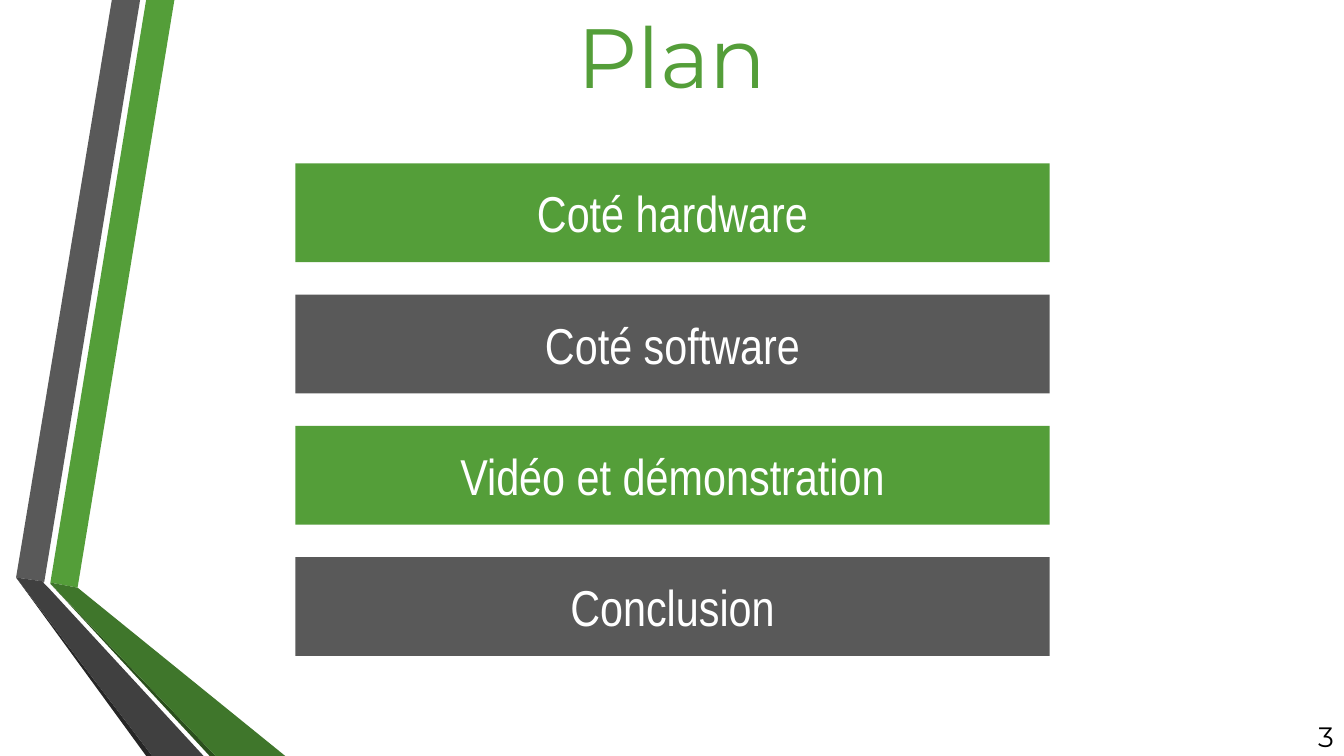
from dataclasses import dataclass

from pptx import Presentation
from pptx.dml.color import RGBColor as RGB
from pptx.enum.shapes import MSO_SHAPE as Shape
from pptx.enum.text import MSO_ANCHOR as Anchor, MSO_AUTO_SIZE as AutoSize, PP_ALIGN as Align
from pptx.shapes.autoshape import Shape as AutoShape
from pptx.slide import Slide
from pptx.util import Inches, Pt

CELL = Inches(0.01)
COLS, ROWS = 1333, 750

GREEN = RGB(0x54, 0x9E, 0x39)
MID_GREEN = RGB(0x3F, 0x76, 0x2B)
DARK_GREEN = RGB(0x2A, 0x4F, 0x1C)
GREY = RGB(0x59, 0x59, 0x59)
MID_GREY = RGB(0x40, 0x40, 0x40)
DARK_GREY = RGB(0x26, 0x26, 0x26)
BLACK = RGB(0x00, 0x00, 0x00)
WHITE = RGB(0xFF, 0xFF, 0xFF)

HEADING_FONT = "Montserrat"
BAR_FONT = "Arial Narrow"


@dataclass(frozen=True)
class Box:
    col: float
    row: float
    cols: float
    rows: float

    def emu(self) -> tuple[int, ...]:
        return tuple(round(n * CELL) for n in (self.col, self.row, self.cols, self.rows))


@dataclass(frozen=True)
class Ribbon:
    color: RGB
    points: tuple[tuple[int, int], ...]


@dataclass(frozen=True)
class TextStyle:
    font: str
    size: int
    color: RGB
    align: Align
    anchor: Anchor


RIBBONS = (
    Ribbon(GREEN, ((50, 578), (77, 583), (173, 0), (145, 0))),
    Ribbon(GREY, ((139, 0), (111, 0), (16, 573), (44, 577))),
    Ribbon(DARK_GREY, ((16, 573), (145, ROWS), (151, ROWS))),
    Ribbon(DARK_GREEN, ((50, 579), (208, ROWS), (214, ROWS))),
    Ribbon(MID_GREEN, ((50, 579), (214, ROWS), (283, ROWS), (77, 583), (50, 578))),
    Ribbon(MID_GREY, ((202, ROWS), (48, 583), (43, 578), (44, 577), (16, 573), (151, ROWS))),
)

TOPICS = ("Coté hardware", "Coté software", "Vidéo et démonstration", "Conclusion")
BAR_COLORS = (GREEN, GREY)
FIRST_BAR = Box(293, 162, 748, 98)
BAR_PITCH = 130.2

TITLE_STYLE = TextStyle(HEADING_FONT, 60, GREEN, Align.CENTER, Anchor.TOP)
NUMBER_STYLE = TextStyle(HEADING_FONT, 20, BLACK, Align.RIGHT, Anchor.MIDDLE)
BAR_STYLE = TextStyle(BAR_FONT, 36, WHITE, Align.CENTER, Anchor.MIDDLE)


def paint(sp: AutoShape, color: RGB) -> None:
    sp.shadow.inherit = False
    sp.fill.solid()
    sp.fill.fore_color.rgb = color
    sp.line.fill.background()


def write(sp: AutoShape, text: str, style: TextStyle) -> None:
    tf = sp.text_frame
    tf.word_wrap = True
    tf.vertical_anchor = style.anchor
    p = tf.paragraphs[0]
    p.alignment = style.align
    r = p.add_run()
    r.text = text
    r.font.name = style.font
    r.font.size = Pt(style.size)
    r.font.color.rgb = style.color


def add_ribbon(s: Slide, ribbon: Ribbon) -> None:
    start, *rest = ribbon.points
    builder = s.shapes.build_freeform(*start, scale=CELL)
    builder.add_line_segments(rest, close=True)
    paint(builder.convert_to_shape(), ribbon.color)


def add_label(s: Slide, box: Box, text: str, style: TextStyle) -> AutoShape:
    sp = s.shapes.add_textbox(*box.emu())
    write(sp, text, style)
    return sp


def add_bar(s: Slide, box: Box, text: str, color: RGB) -> None:
    sp = s.shapes.add_shape(Shape.RECTANGLE, *box.emu())
    paint(sp, color)
    write(sp, text, BAR_STYLE)


def main() -> None:
    prs = Presentation()
    prs.slide_width, prs.slide_height = COLS * CELL, ROWS * CELL
    s = prs.slides.add_slide(prs.slide_layouts[6])

    for ribbon in RIBBONS:
        add_ribbon(s, ribbon)

    title = add_label(s, Box(180, 0, 973, 111), "Plan", TITLE_STYLE)
    title.text_frame.auto_size = AutoSize.SHAPE_TO_FIT_TEXT
    add_label(s, Box(0, 710, COLS, 40), "3", NUMBER_STYLE)

    for i, topic in enumerate(TOPICS):
        row = FIRST_BAR.row + i * BAR_PITCH
        box = Box(FIRST_BAR.col, row, FIRST_BAR.cols, FIRST_BAR.rows)
        add_bar(s, box, topic, BAR_COLORS[i % len(BAR_COLORS)])

    prs.save("out.pptx")


if __name__ == "__main__":
    main()
